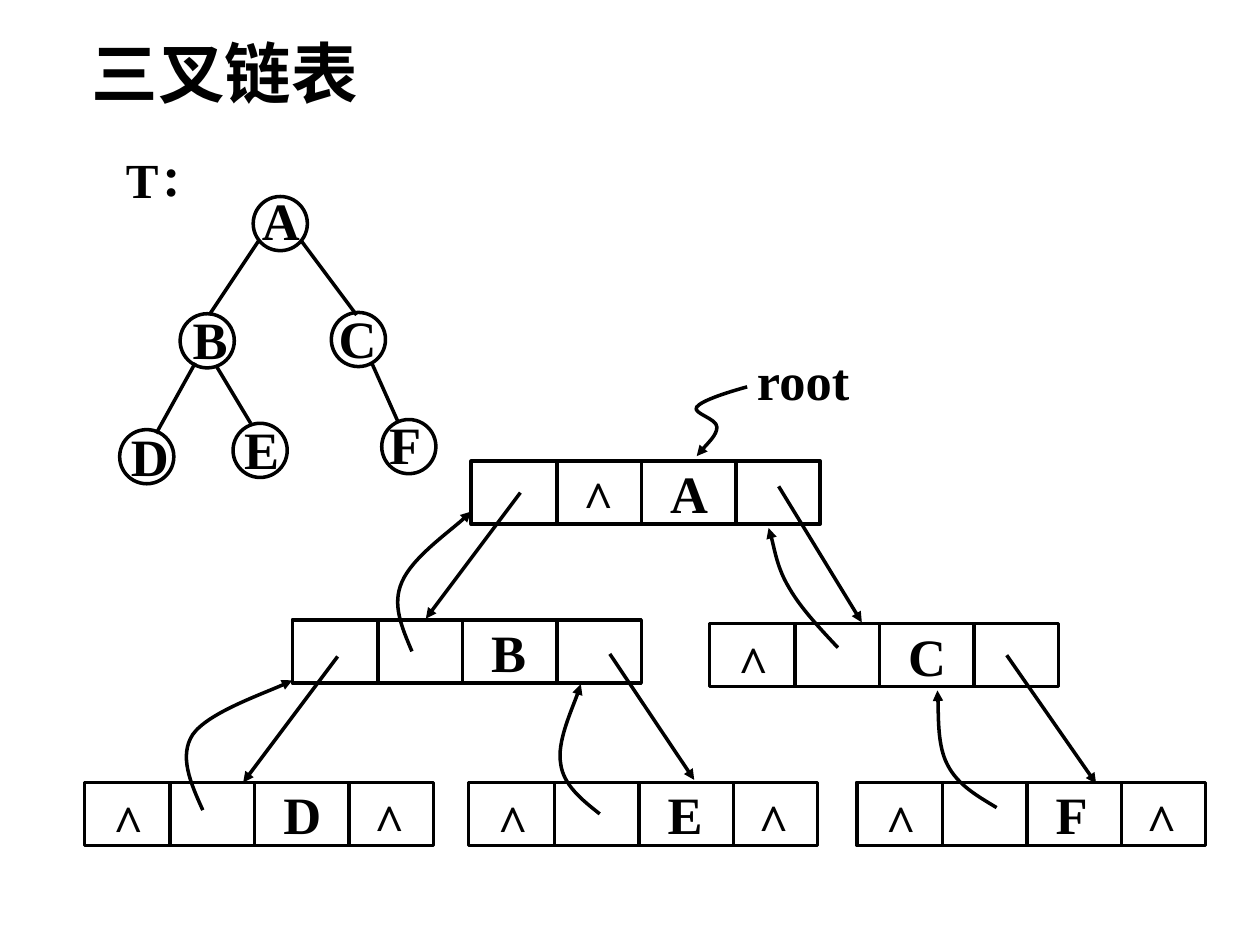
from dataclasses import dataclass

from lxml.etree import SubElement
from pptx import Presentation
from pptx.dml.color import RGBColor
from pptx.enum.shapes import MSO_CONNECTOR, MSO_SHAPE
from pptx.enum.text import MSO_ANCHOR
from pptx.oxml.ns import qn
from pptx.util import Inches, Pt

Point = tuple[float, float]


@dataclass(frozen=True)
class Theme:
    ink: RGBColor = RGBColor(0, 0, 0)
    paper: RGBColor = RGBColor(255, 255, 255)
    head: str = "DejaVu Sans"
    body: str = "Times New Roman"
    title: float = 38
    label: float = 28
    mark: float = 30
    line: float = 2


@dataclass(frozen=True)
class Node:
    name: str
    spot: Point
    text: Point


@dataclass(frozen=True)
class Record:
    name: str
    spot: Point
    nulls: tuple[int, ...]


THEME = Theme()
DISC = 0.43
WIDTH, HEIGHT = 2.77, 0.5
RULES = ((0.68, -0.01), (1.35, 0), (2.1, 0))
NULLS = {0: (0.13, 0.01), 1: (0.79, -0.01), 3: (2.2, 0)}

NODES = (
    Node("A", (2.01, 1.56), (1.98, 1.44)),
    Node("B", (1.43, 2.49), (1.43, 2.39)),
    Node("C", (2.63, 2.48), (2.59, 2.38)),
    Node("D", (0.95, 3.41), (0.94, 3.32)),
    Node("E", (1.85, 3.36), (1.84, 3.26)),
    Node("F", (3.03, 3.33), (2.99, 3.22)),
)
EDGES = (
    ((2.06, 1.9), (1.66, 2.5)),
    ((2.39, 1.91), (2.83, 2.5)),
    ((1.55, 2.88), (1.24, 3.44)),
    ((1.72, 2.91), (1.99, 3.36)),
    ((2.95, 2.88), (3.16, 3.35)),
)
RECORDS = (
    Record("A", (3.74, 3.66), (1,)),
    Record("B", (2.32, 4.92), ()),
    Record("C", (5.63, 4.95), (0,)),
    Record("D", (0.67, 6.21), (0, 3)),
    Record("E", (3.72, 6.21), (0, 3)),
    Record("F", (6.8, 6.21), (0, 3)),
)
LINKS = (
    ((4.13, 3.91), (3.38, 4.91)),
    ((6.18, 3.86), (6.84, 4.94)),
    ((2.68, 5.21), (1.93, 6.21)),
    ((4.84, 5.19), (5.51, 6.19)),
    ((7.99, 5.2), (8.7, 6.22)),
)
CURVES = (
    ((5.93, 3.07), (5.75, 3.12), (5.57, 3.18), (5.53, 3.23), (5.49, 3.28),
     (5.69, 3.32), (5.69, 3.39), (5.69, 3.45), (5.56, 3.58), (5.53, 3.62)),
    ((1.61, 6.43), (1.51, 6.21), (1.42, 6), (1.53, 5.83),
     (1.65, 5.66), (2.19, 5.47), (2.32, 5.4)),
    ((3.27, 5.17), (3.19, 4.98), (3.11, 4.8), (3.19, 4.62),
     (3.27, 4.43), (3.65, 4.16), (3.74, 4.06)),
    ((4.76, 6.46), (4.62, 6.35), (4.47, 6.23), (4.45, 6.06),
     (4.42, 5.89), (4.58, 5.54), (4.61, 5.43)),
    ((7.91, 6.41), (7.76, 6.32), (7.6, 6.23), (7.52, 6.07),
     (7.44, 5.92), (7.45, 5.58), (7.44, 5.48)),
    ((6.65, 5.14), (6.5, 4.98), (6.35, 4.82), (6.26, 4.66),
     (6.17, 4.51), (6.13, 4.27), (6.1, 4.19)),
)


def emu(*sizes: float) -> list[int]:
    return [Inches(size) for size in sizes]


def style(shape, arrow: bool = False) -> None:
    shape.line.color.rgb = THEME.ink
    shape.line.width = Pt(THEME.line)
    if arrow:
        SubElement(shape.line._get_or_add_ln(), qn("a:tailEnd"), type="triangle")


def outline(slide, kind: MSO_SHAPE, spot: Point, width: float, height: float) -> None:
    shape = slide.shapes.add_shape(kind, *emu(*spot, width, height))
    shape.fill.background()
    style(shape)
    shape.shadow.inherit = False


def line(slide, start: Point, end: Point, arrow: bool = False) -> None:
    link = slide.shapes.add_connector(MSO_CONNECTOR.STRAIGHT, *emu(*start, *end))
    style(link, arrow)
    SubElement(link.element.spPr, qn("a:effectLst"))


def curve(slide, points: tuple[Point, ...]) -> None:
    start, *rest = points
    pen = slide.shapes.build_freeform(*emu(*start))
    pen.add_line_segments([tuple(emu(*point)) for point in rest], close=False)
    shape = pen.convert_to_shape()
    legs = shape.element.xpath(".//a:lnTo")
    trace = legs[0].getparent()
    for first in range(0, len(legs), 3):
        bend = SubElement(trace, qn("a:cubicBezTo"))
        for leg in legs[first:first + 3]:
            bend.append(leg[0])
            trace.remove(leg)
    shape.fill.background()
    style(shape, arrow=True)
    shape.shadow.inherit = False


def write(slide, text: str, spot: Point, width: float = 0.67, height: float = 0.6,
          size: float = THEME.mark, face: str = THEME.body,
          anchor: MSO_ANCHOR = MSO_ANCHOR.TOP) -> None:
    frame = slide.shapes.add_textbox(*emu(*spot, width, height)).text_frame
    frame.word_wrap = True
    frame.vertical_anchor = anchor
    frame.text = text
    run = frame.paragraphs[0].runs[0]
    run.font.name = face
    run.font.size = Pt(size)
    run.font.bold = True
    run.font.color.rgb = THEME.ink
    SubElement(run.font._element, qn("a:ea"), typeface=face)


def record(slide, item: Record) -> None:
    left, top = item.spot
    outline(slide, MSO_SHAPE.RECTANGLE, item.spot, WIDTH, HEIGHT)
    for shift, drop in RULES:
        line(slide, (left + shift, top + drop), (left + shift, top + drop + HEIGHT))
    write(slide, item.name, (left + 1.48, top - 0.05), 0.58)
    for cell in item.nulls:
        shift, drop = NULLS[cell]
        write(slide, "^", (left + shift, top + drop), 0.55)


def main() -> None:
    deck = Presentation()
    deck.slide_width, deck.slide_height = emu(10, 7.5)
    slide = deck.slides.add_slide(deck.slide_layouts[6])
    panel = slide.shapes.add_shape(MSO_SHAPE.RECTANGLE, *emu(0.25, 1.08, 9.5, 6.33))
    panel.fill.solid()
    panel.fill.fore_color.rgb = THEME.paper
    panel.line.fill.background()
    panel.shadow.inherit = False
    write(slide, "三叉链表", (0.63, 0.11), 8.75, 0.83, THEME.title, THEME.head,
          MSO_ANCHOR.BOTTOM)
    write(slide, "T：", (0.9, 1.14), 1.08, 0.58, THEME.label)
    for node in NODES:
        outline(slide, MSO_SHAPE.OVAL, node.spot, DISC, DISC)
        write(slide, node.name, node.text)
    for start, end in EDGES:
        line(slide, start, end)
    for item in RECORDS:
        record(slide, item)
    for start, end in LINKS:
        line(slide, start, end, arrow=True)
    for points in CURVES:
        curve(slide, points)
    write(slide, "root", (5.91, 2.71), 1.1)
    deck.save("out.pptx")


if __name__ == "__main__":
    main()
